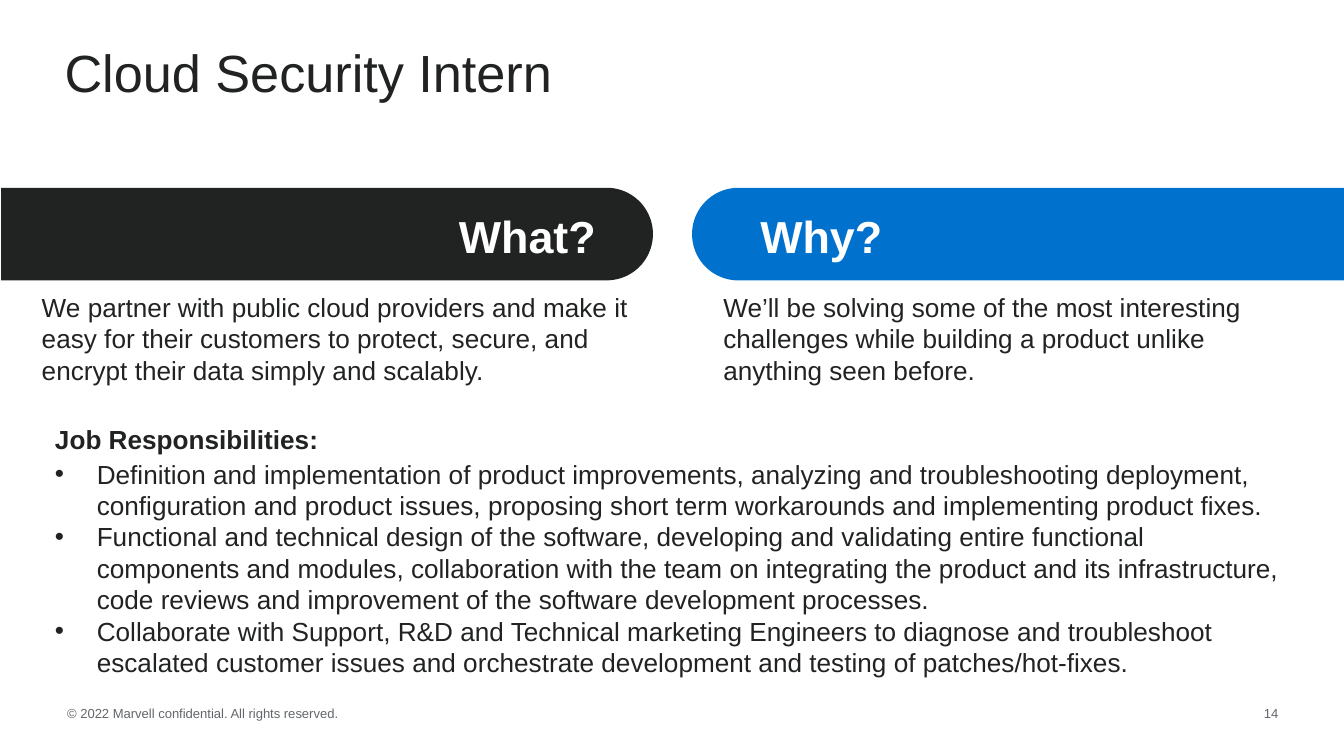
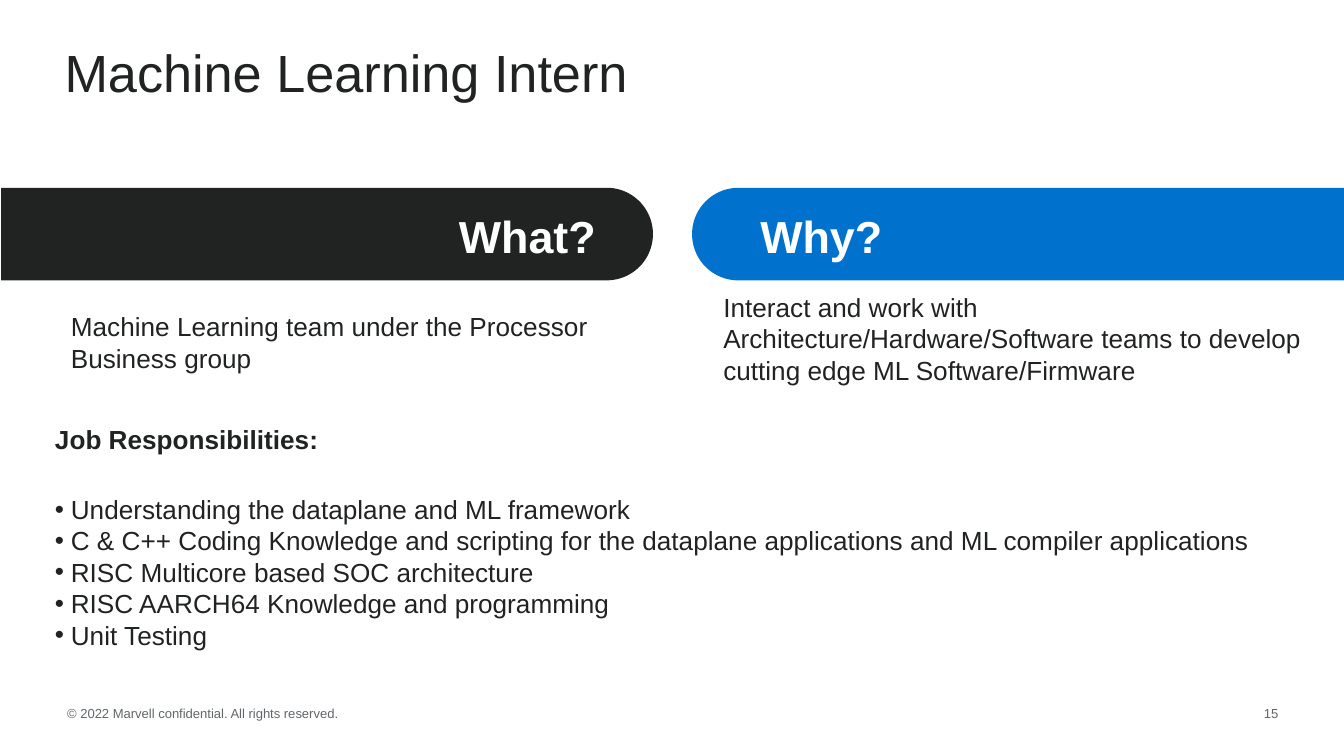
"""Build two internship slides with What and Why bands and a list of duties."""
from dataclasses import dataclass

from lxml import etree
from pptx import Presentation
from pptx import util as u
from pptx.dml.color import RGBColor
from pptx.enum import shapes, text
from pptx.oxml import ns


@dataclass(frozen=True)
class Theme:
    font: str = "Arial"
    ink: str = "212322"
    accent: str = "0072CE"
    light: str = "FFFFFF"
    muted: str = "63666A"
    title_size: int = 28
    band_size: int = 24
    body_size: int = 14
    footer_size: int = 7


THEME = Theme()
WIDTH, HEIGHT = 25.4, 14.29
BAND_LENGTH, BAND_HEIGHT, BAND_TOP = 12.32, 1.75, 3.55
FOOTER = "© 2022 Marvell confidential. All rights reserved."
DUTIES_HEADING = "Job Responsibilities:"

BANDS = [
    {"label": "What?", "left": 0.02, "color": THEME.ink, "rotation": 90,
     "label_left": 5.41, "align": text.PP_ALIGN.RIGHT},
    {"label": "Why?", "left": WIDTH - BAND_LENGTH, "color": THEME.accent, "rotation": 270,
     "label_left": 14.12, "align": text.PP_ALIGN.LEFT},
]

INTERNSHIPS = [
    {
        "number": 14,
        "title": "Cloud Security Intern",
        "what": "We partner with public cloud providers and make it easy for their customers "
                "to protect, secure, and encrypt their data simply and scalably.",
        "what_box": (0.79, 5.51, 11.99, 1.8),
        "why": "We’ll be solving some of the most interesting challenges while building "
               "a product unlike anything seen before.",
        "duties": [
            "Definition and implementation of product improvements, analyzing and "
            "troubleshooting deployment, configuration and product issues, proposing short "
            "term workarounds and implementing product fixes.",
            "Functional and technical design of the software, developing and validating "
            "entire functional components and modules, collaboration with the team on "
            "integrating the product and its infrastructure, code reviews and improvement "
            "of the software development processes.",
            "Collaborate with Support, R&D and Technical marketing Engineers to diagnose and "
            "troubleshoot escalated customer issues and orchestrate development and testing "
            "of patches/hot-fixes.",
        ],
        "heading_gap": 2,
        "indent": 0.79,
    },
    {
        "number": 15,
        "title": "Machine Learning Intern",
        "what": "Machine Learning team under the Processor Business group",
        "what_box": (1.34, 5.87, 11.02, 1.8),
        "why": "Interact and work with Architecture/Hardware/Software teams to develop "
               "cutting edge ML Software/Firmware",
        "duties": [
            "Understanding the dataplane and ML framework",
            "C & C++ Coding Knowledge and scripting for the dataplane applications and "
            "ML compiler applications",
            "RISC Multicore based SOC architecture",
            "RISC AARCH64 Knowledge and programming",
            "Unit Testing",
        ],
        "heading_gap": 21,
        "indent": 0.3,
    },
]


def style(paragraph, size, color, bold=False):
    font = paragraph.font
    font.name, font.size, font.bold = THEME.font, u.Pt(size), bold
    font.color.rgb = RGBColor.from_string(color)


def add_text(slide, box, content, size, color=THEME.ink, bold=False,
             align=text.PP_ALIGN.LEFT, anchor=text.MSO_ANCHOR.TOP, inset=True):
    shape = slide.shapes.add_textbox(*map(u.Cm, box))
    frame = shape.text_frame
    frame.word_wrap = True
    frame.vertical_anchor = anchor
    if not inset:
        frame.margin_left = frame.margin_right = frame.margin_top = frame.margin_bottom = 0
    frame.text = content
    paragraph = frame.paragraphs[0]
    paragraph.alignment = align
    style(paragraph, size, color, bold)
    return frame


def add_band(slide, band):
    shift = (BAND_LENGTH - BAND_HEIGHT) / 2
    shape = slide.shapes.add_shape(
        shapes.MSO_SHAPE.ROUND_2_SAME_RECTANGLE,
        u.Cm(band["left"] + shift), u.Cm(BAND_TOP - shift),
        u.Cm(BAND_HEIGHT), u.Cm(BAND_LENGTH))
    shape.adjustments[0], shape.adjustments[1] = 0.5, 0
    shape.rotation = band["rotation"]
    shape.shadow.inherit = False
    shape.fill.solid()
    shape.fill.fore_color.rgb = RGBColor.from_string(band["color"])
    shape.line.fill.background()
    add_text(slide, (band["label_left"], BAND_TOP + 0.03, 6.1, BAND_HEIGHT), band["label"],
             THEME.band_size, THEME.light, True, band["align"], text.MSO_ANCHOR.MIDDLE)


def add_bullet(paragraph, indent):
    properties = paragraph._p.get_or_add_pPr()
    properties.set("marL", str(u.Cm(indent)))
    properties.set("indent", str(-u.Cm(indent)))
    etree.SubElement(properties, ns.qn("a:buFont")).set("typeface", THEME.font)
    etree.SubElement(properties, ns.qn("a:buChar")).set("char", "•")


def add_duties(slide, internship):
    frame = add_text(slide, (0.79, 7.87, 23.9, 6.15), DUTIES_HEADING, THEME.body_size, bold=True)
    frame.paragraphs[0].space_after = u.Pt(internship["heading_gap"])
    for duty in internship["duties"]:
        paragraph = frame.add_paragraph()
        paragraph.text = duty
        add_bullet(paragraph, internship["indent"])
        style(paragraph, THEME.body_size, THEME.ink)


def add_footer(slide, number):
    for left, width, content, align in (
            (1.02, 6.86, FOOTER, text.PP_ALIGN.LEFT),
            (23.39, 1.02, str(number), text.PP_ALIGN.RIGHT)):
        add_text(slide, (left, 13.21, width, 0.56), content, THEME.footer_size, THEME.muted,
                 align=align, anchor=text.MSO_ANCHOR.MIDDLE)


def add_internship(presentation, internship):
    slide = presentation.slides.add_slide(presentation.slide_layouts[6])
    add_footer(slide, internship["number"])
    title = add_text(slide, (0.97, 0.77, 23.5, 2.29), internship["title"], THEME.title_size)
    title.paragraphs[0].line_spacing = 0.9
    for band in BANDS:
        add_band(slide, band)
    add_text(slide, internship["what_box"], internship["what"], THEME.body_size, inset=False)
    add_text(slide, (13.67, 5.51, 10.95, 1.8), internship["why"], THEME.body_size, inset=False)
    add_duties(slide, internship)


def main():
    presentation = Presentation()
    presentation.slide_width, presentation.slide_height = u.Cm(WIDTH), u.Cm(HEIGHT)
    for internship in INTERNSHIPS:
        add_internship(presentation, internship)
    presentation.save("out.pptx")


if __name__ == "__main__":
    main()
